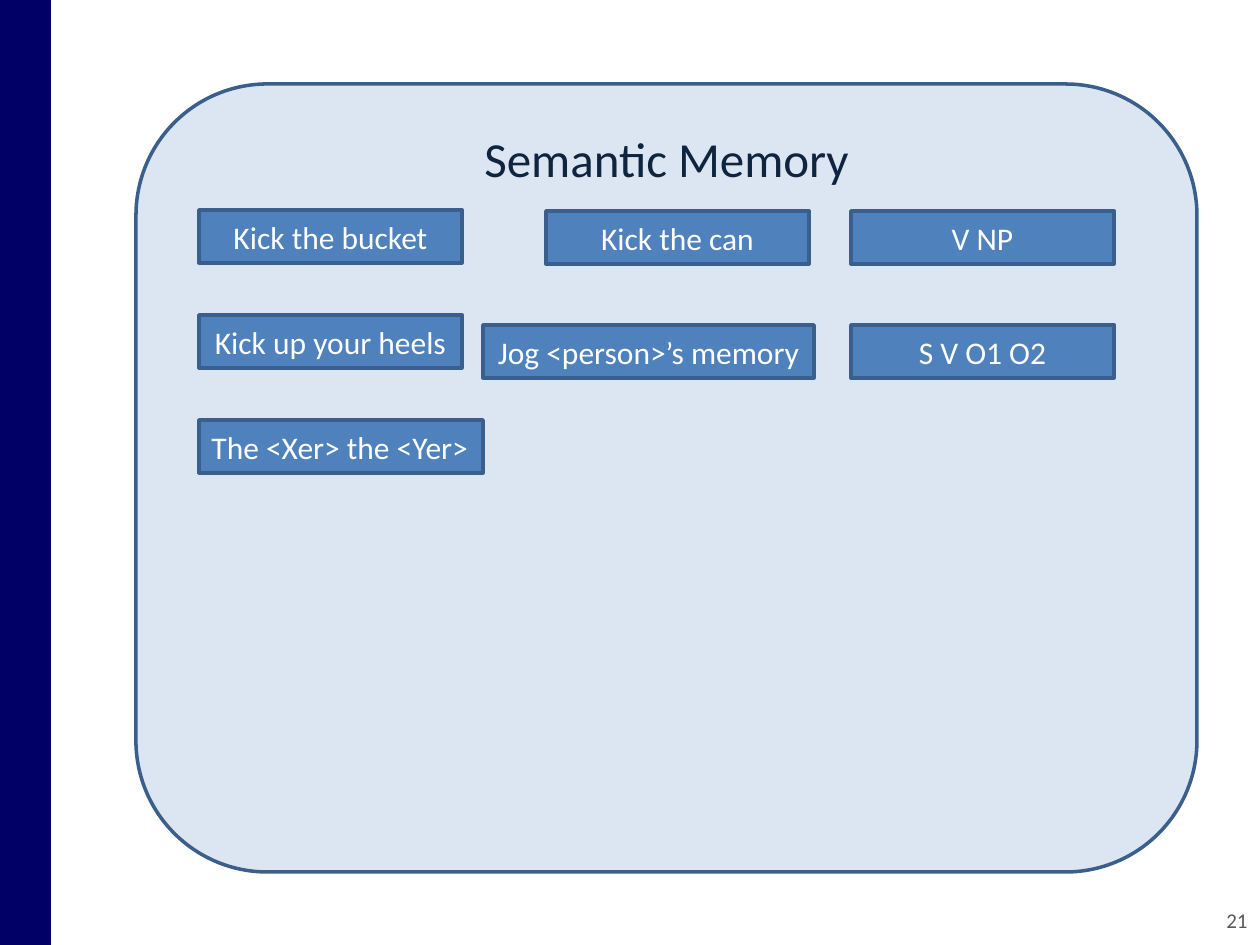
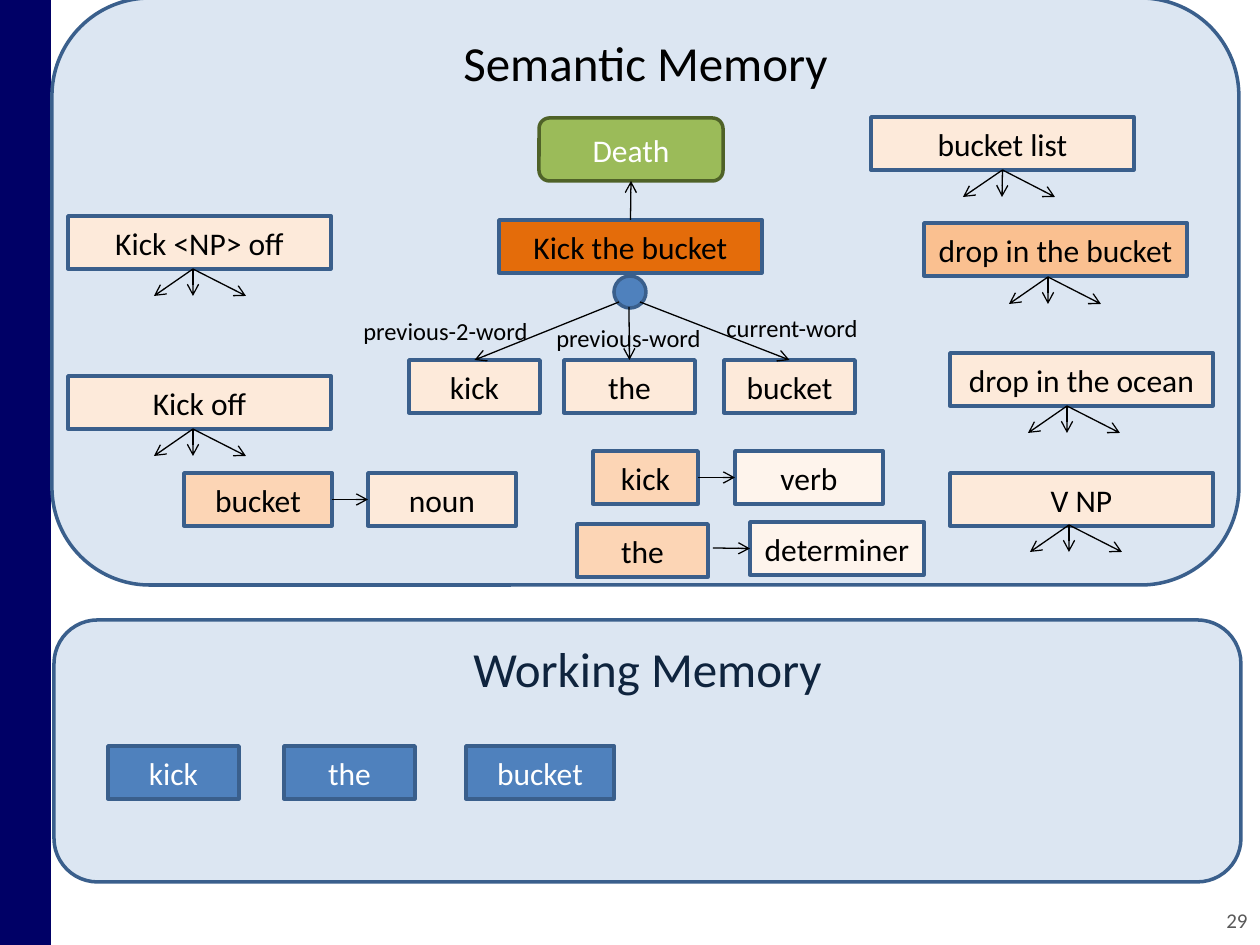
import lxml.etree
import pptx
import pptx.dml.color
import pptx.enum.shapes
import pptx.enum.text
import pptx.oxml.ns
import pptx.util

EMU_PER_PX = 914400 / 126
SLIDE_WIDTH, SLIDE_HEIGHT = 1260, 945
FONT = "Calibri"
BOX_WIDTH, BOX_HEIGHT = 263, 53
WORD_WIDTH, WIDE_WORD_WIDTH = 131, 148
TOP, LEFT, BOTTOM, RIGHT = range(4)

COLORS = {
    "band": "000066",
    "panel": "DCE6F2",
    "outline": "3A5F8C",
    "blue": "4F81BD",
    "navy": "0F243E",
    "white": "FFFFFF",
    "black": "000000",
    "gray": "595959",
    "green": "9BBB59",
    "dark_green": "4F6228",
    "faint": "FEF4EC",
    "pale": "FDEADA",
    "peach": "FCD5B5",
    "apricot": "FAC090",
    "orange": "E46C0A",
}
SHAPES = pptx.enum.shapes.MSO_SHAPE
ALIGN = pptx.enum.text.PP_ALIGN
ANCHOR = pptx.enum.text.MSO_ANCHOR


def px(length):
    return pptx.util.Emu(round(length * EMU_PER_PX))


def rgb(color):
    return pptx.dml.color.RGBColor.from_string(COLORS[color])


class Deck:
    """Holds the shared style and the slide being drawn."""

    def __init__(self):
        self.presentation = pptx.Presentation()
        self.presentation.slide_width = px(SLIDE_WIDTH)
        self.presentation.slide_height = px(SLIDE_HEIGHT)
        self.slide = None

    def new_slide(self, number):
        """Start a slide with the side band and its page number."""
        self.slide = self.presentation.slides.add_slide(self.presentation.slide_layouts[6])
        self.shape(SHAPES.RECTANGLE, -1, 0, 52, SLIDE_HEIGHT, "band", None)
        self.label(str(number), 966, 895, 294, 50, 12, "gray", ALIGN.RIGHT, ANCHOR.MIDDLE)

    def set_text(self, shape, text, size, color, align, anchor):
        frame = shape.text_frame
        frame.word_wrap = True
        frame.vertical_anchor = anchor
        frame.text = text
        paragraph = frame.paragraphs[0]
        paragraph.alignment = align
        for run in paragraph.runs:
            run.font.name = FONT
            run.font.size = pptx.util.Pt(size)
            run.font.color.rgb = rgb(color)

    def label(self, text, left, top, width, height, size, color, align, anchor=ANCHOR.TOP):
        shape = self.slide.shapes.add_textbox(px(left), px(top), px(width), px(height))
        self.set_text(shape, text, size, color, align, anchor)

    def shape(self, kind, left, top, width, height, fill, outline="outline"):
        shape = self.slide.shapes.add_shape(kind, px(left), px(top), px(width), px(height))
        shape.shadow.inherit = False
        shape.fill.solid()
        shape.fill.fore_color.rgb = rgb(fill)
        if outline:
            shape.line.color.rgb = rgb(outline)
            shape.line.width = pptx.util.Pt(2)
        else:
            shape.line.fill.background()
        return shape

    def panel(self, title, left, top, width, height, color="navy"):
        shape = self.shape(SHAPES.ROUNDED_RECTANGLE, left, top, width, height, "panel")
        self.set_text(shape, title, 28, color, ALIGN.CENTER, ANCHOR.TOP)

    def box(self, text, left, top, width=BOX_WIDTH, fill="pale", color="black", align=ALIGN.CENTER):
        shape = self.shape(SHAPES.RECTANGLE, left, top, width, BOX_HEIGHT, fill)
        self.set_text(shape, text, 18, color, align, ANCHOR.MIDDLE)
        return shape

    def blue_box(self, text, left, top, width=BOX_WIDTH, align=ALIGN.CENTER):
        self.box(text, left, top, width, "blue", "white", align)

    def end_point(self, end):
        """Turn an (x, y) pair or a (shape, side) pair into EMU."""
        first, second = end
        if isinstance(first, int):
            return px(first), px(second)
        across, down = {TOP: (1, 0), LEFT: (0, 1), BOTTOM: (1, 2), RIGHT: (2, 1)}[second]
        return first.left + first.width * across // 2, first.top + first.height * down // 2

    def arrow(self, start, end, shapes=None):
        """Draw an arrow; each end is an (x, y) pair or a (shape, side) pair to join."""
        connector = (shapes or self.slide.shapes).add_connector(
            pptx.enum.shapes.MSO_CONNECTOR.STRAIGHT,
            *self.end_point(start), *self.end_point(end))
        if not isinstance(start[0], int):
            connector.begin_connect(*start)
        if not isinstance(end[0], int):
            connector.end_connect(*end)
        connector.line.color.rgb = rgb("black")
        connector.line.width = pptx.util.Pt(0.75)
        line = connector.line._get_or_add_ln()
        lxml.etree.SubElement(line, pptx.oxml.ns.qn("a:tailEnd"), type="arrow")
        lxml.etree.SubElement(connector._element.spPr, pptx.oxml.ns.qn("a:effectLst"))

    def fan(self, x, y, box=None):
        """Group three arrows spreading down from one point, joined to box if given."""
        group = self.slide.shapes.add_group_shape()
        for offset in (-39, 0, 53):
            start = (box, BOTTOM) if box else (x, y)
            self.arrow(start, (x + offset, y + 27), group.shapes)


def draw_phrases(deck):
    deck.new_slide(21)
    deck.panel("Semantic Memory", 136, 84, 1061, 788)
    for text, left, top in (
        ("Kick the bucket", 199, 210),
        ("Kick the can", 546, 211),
        ("V NP", 851, 211),
        ("S V O1 O2", 851, 325),
        ("Kick up your heels", 199, 315),
    ):
        deck.blue_box(text, left, top)
    deck.blue_box("The <Xer> the <Yer>", 199, 420, 284, ALIGN.LEFT)
    deck.blue_box("Jog <person>’s memory", 483, 325, 331)


def draw_network(deck):
    deck.new_slide(29)
    deck.panel("Semantic Memory", 52, -2, 1187, 587, "black")

    idiom = deck.box("Kick the bucket", 499, 220, fill="orange")
    death = deck.shape(SHAPES.ROUNDED_RECTANGLE, 539, 118, 184, 63, "green", "dark_green")
    deck.set_text(death, "Death", 18, "white", ALIGN.CENTER, ANCHOR.MIDDLE)
    deck.arrow((idiom, TOP), (death, BOTTOM))

    deck.shape(SHAPES.OVAL, 614, 276, 32, 32, "blue")
    for word, left, start in (
        ("kick", 409, (619, 302)),
        ("the", 564, (629, 307)),
        ("bucket", 724, (640, 302)),
    ):
        deck.arrow(start, (deck.box(word, left, 360, WORD_WIDTH), TOP))
    for text, left, top, width, align in (
        ("current-word", 714, 307, 199, ALIGN.LEFT),
        ("previous-2-word", 331, 310, 229, ALIGN.CENTER),
        ("previous-word", 514, 317, 229, ALIGN.CENTER),
    ):
        deck.label(text, left, top, width, 43, 14, "black", align)

    bucket_list = deck.box("bucket list", 871, 117)
    deck.fan(1002, 170, bucket_list)
    for text, left, top, fill, fan_x, fan_y in (
        ("drop in the bucket", 924, 223, "apricot", 1048, 277),
        ("drop in the ocean", 950, 353, "pale", 1067, 406),
        ("V NP", 950, 473, "pale", 1069, 525),
        ("Kick <NP> off", 68, 216, "pale", 193, 269),
        ("Kick off", 68, 376, "pale", 193, 429),
    ):
        deck.box(text, left, top, fill=fill)
        deck.fan(fan_x, fan_y)

    bucket = deck.box("bucket", 184, 473, WIDE_WORD_WIDTH, "peach")
    noun = deck.box("noun", 368, 473, WIDE_WORD_WIDTH)
    kick = deck.box("kick", 593, 451, 105, "peach")
    verb = deck.box("verb", 735, 451, WIDE_WORD_WIDTH, "faint")
    deck.box("the", 577, 524, WORD_WIDTH, "peach")
    determiner = deck.box("determiner", 750, 522, 174, "faint")
    for start, category in (
        ((bucket, RIGHT), noun),
        ((kick, RIGHT), verb),
        ((713, 548), determiner),
    ):
        deck.arrow(start, (category, LEFT))

    deck.panel("Working Memory", 54, 620, 1187, 262)
    for word, left, width in (
        ("kick", 108, WORD_WIDTH),
        ("the", 284, WORD_WIDTH),
        ("bucket", 466, WIDE_WORD_WIDTH),
    ):
        deck.blue_box(word, left, 746, width)


def main():
    deck = Deck()
    draw_phrases(deck)
    draw_network(deck)
    deck.presentation.save("out.pptx")


if __name__ == "__main__":
    main()
